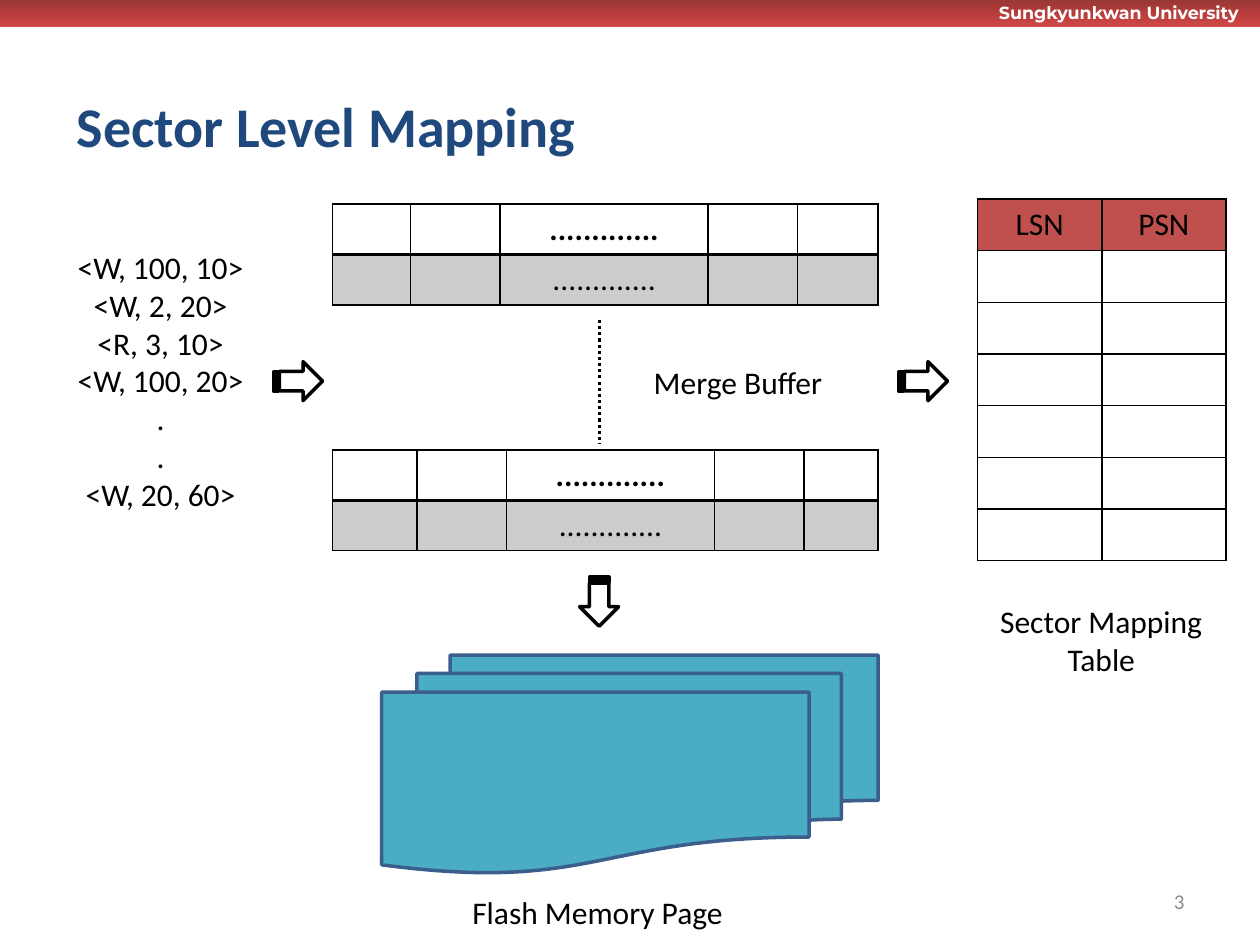
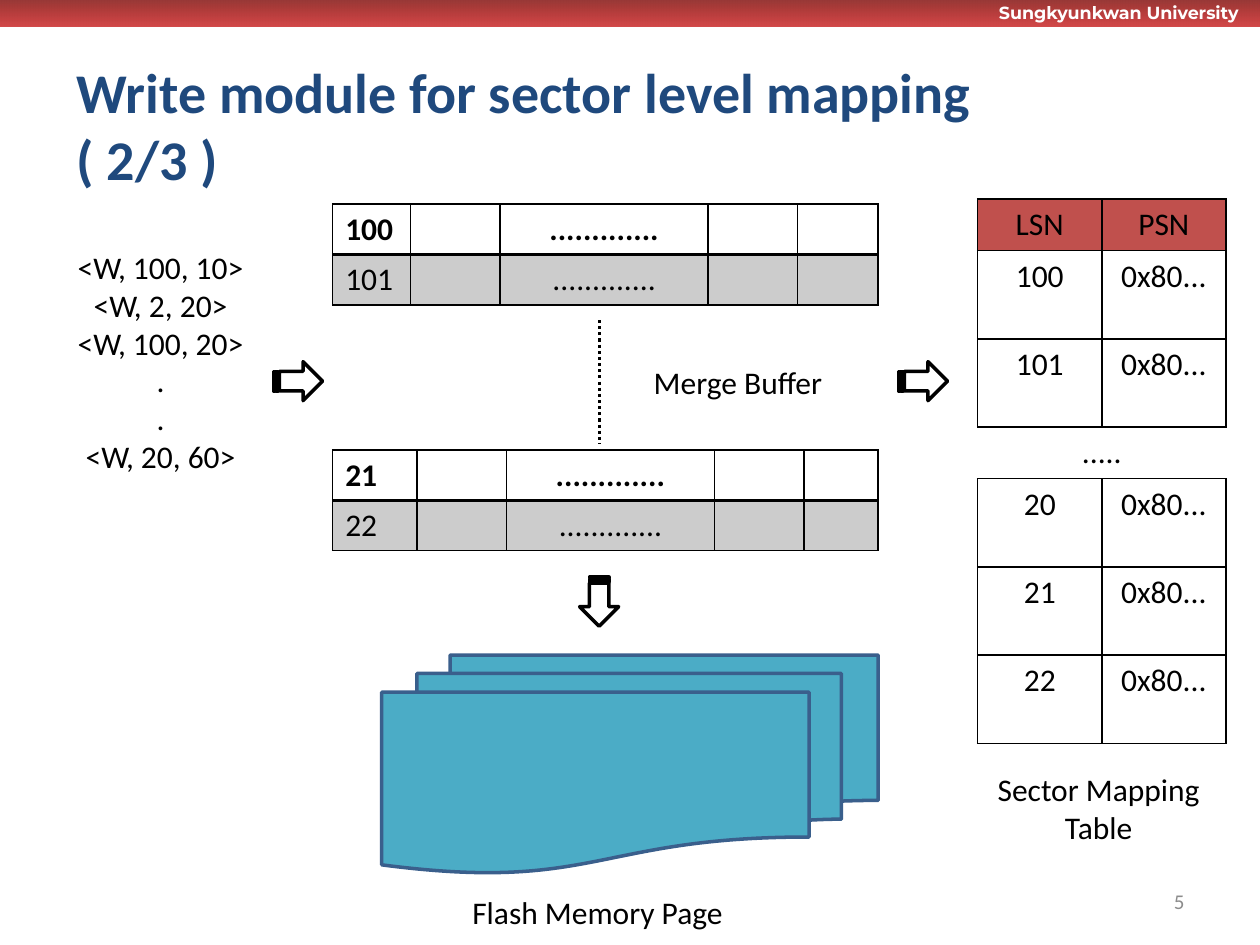
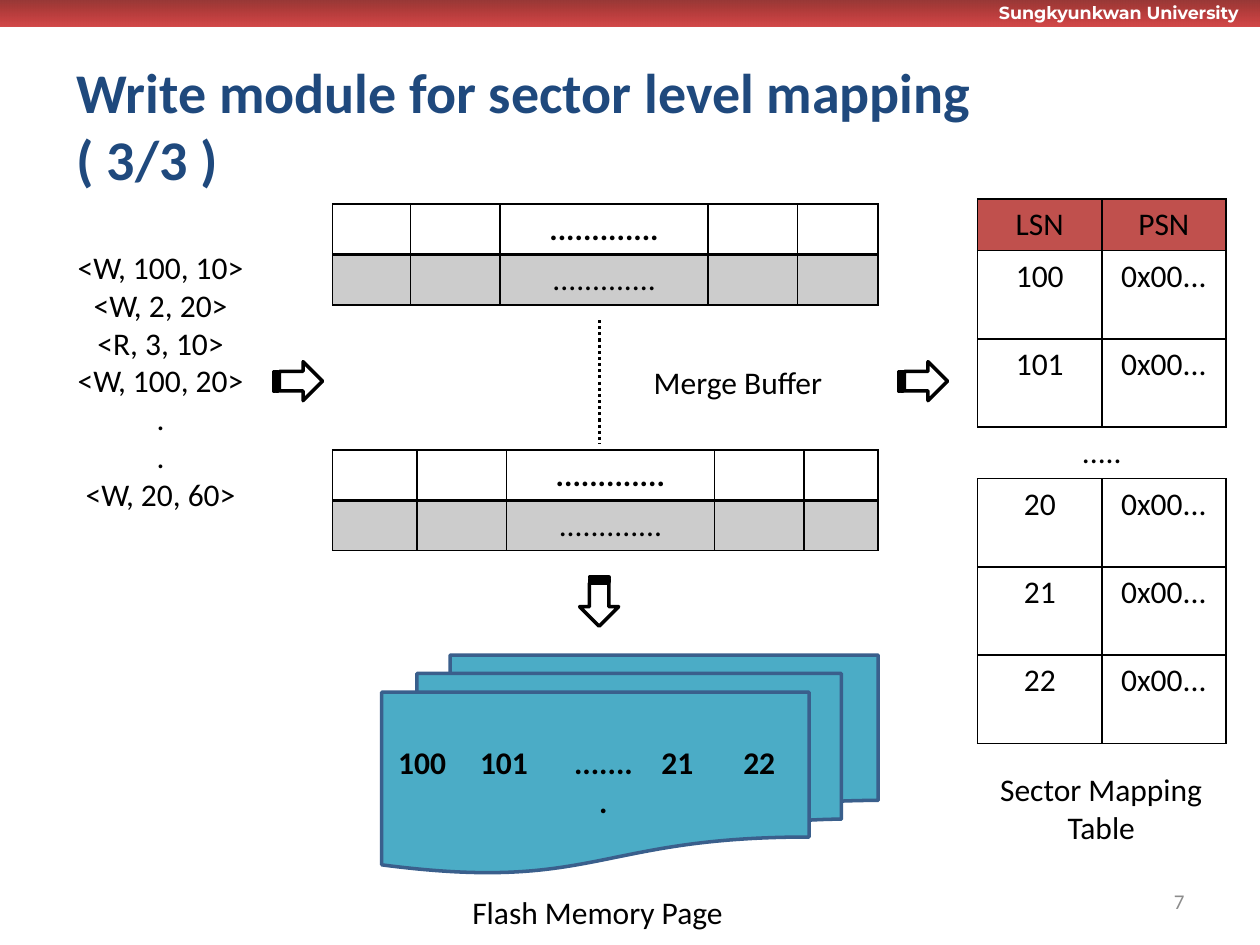
from collections import namedtuple
from dataclasses import dataclass

from lxml.etree import SubElement
from pptx import Presentation
from pptx.dml.color import RGBColor
from pptx.enum.dml import MSO_LINE
from pptx.enum.shapes import MSO_CONNECTOR, MSO_SHAPE
from pptx.enum.text import MSO_ANCHOR, MSO_AUTO_SIZE, PP_ALIGN
from pptx.oxml.ns import qn
from pptx.util import Inches, Pt

# All lengths count cells of a grid of 100 columns by 75 rows
Box = namedtuple("Box", "x y w h")
PLAIN = "{2D5ABB26-0587-4C30-8999-92F81FD0307C}"  # table style without grid
LEFT, MID, RIGHT = PP_ALIGN.LEFT, PP_ALIGN.CENTER, PP_ALIGN.RIGHT


@dataclass(frozen=True)
class Theme:
    ink: str = "000000"
    paper: str = "FFFFFF"
    navy: str = "1F497D"
    gray: str = "8C8C8C"
    head: str = "C0504D"
    page: str = "4BACC6"
    edge: str = "3A5F8C"
    top: str = "953735"
    end: str = "C00000"
    face: str = "Calibri"
    brand: str = "Montserrat"
    big: int = 32
    body: int = 18
    note: int = 12
    small: int = 10
    thin: float = 1
    dash: float = 1.75
    bold: float = 2


T = Theme()


# ---- helpers ----
def cells(num):
    return Inches(num / 10)


def place(box):
    return [cells(num) for num in box]


def part(box, x, y, w, h):
    """A box set out from the corner of another one."""
    return Box(box.x + x, box.y + y, w, h)


def rgb(code):
    return RGBColor.from_string(code)


def apply(item, **form):
    for name, value in form.items():
        setattr(item, name, value)


def fade(color, share):
    SubElement(color, qn("a:alpha")).set("val", str(share * 1000))


def write(frame, lines, align=LEFT, color=T.ink, size=T.body,
          face=T.face, bold=False):
    for num, line in enumerate(lines):
        para = frame.add_paragraph() if num else frame.paragraphs[0]
        para.alignment = align
        if line:
            run = para.add_run()
            run.text = line
            apply(run.font, name=face, size=Pt(size), bold=bold)
            run.font.color.rgb = rgb(color)


def label(slide, box, lines, wrap=False, **look):
    frame = slide.shapes.add_textbox(*place(box)).text_frame
    fit = MSO_AUTO_SIZE.NONE if wrap else MSO_AUTO_SIZE.SHAPE_TO_FIT_TEXT
    anchor = MSO_ANCHOR.MIDDLE if wrap else MSO_ANCHOR.TOP
    apply(frame, word_wrap=wrap, auto_size=fit, vertical_anchor=anchor)
    write(frame, lines, **look)


def shape(slide, kind, box, fill, line=None, turn=0):
    item = slide.shapes.add_shape(kind, *place(box))
    apply(item, rotation=turn)
    item.shadow.inherit = False
    item.fill.solid()
    item.fill.fore_color.rgb = rgb(fill)
    if line:
        item.line.color.rgb = rgb(line)
        item.line.width = Pt(T.bold)
    else:
        item.line.fill.background()
    return item


def table(slide, box, cols, rows):
    grid = slide.shapes.add_table(len(rows), len(cols), *place(box)).table
    apply(grid, first_row=False, horz_banding=False)
    grid._tbl.tblPr.find(qn("a:tableStyleId")).text = PLAIN
    for col, wide in zip(grid.columns, cols):
        col.width = cells(wide)
    for row, high in zip(grid.rows, rows):
        row.height = cells(high)
    return grid


def rule(cell, **sides):
    """Draw borders of the given widths on the sides L, R, T and B."""
    for side in "LRTB":
        if side in sides:
            line = SubElement(cell._tc.get_or_add_tcPr(), qn("a:ln" + side))
            line.set("w", str(Pt(sides[side])))
            fill = SubElement(line, qn("a:solidFill"))
            SubElement(fill, qn("a:srgbClr")).set("val", T.ink)


def tint(cell, color, share=100):
    cell.fill.solid()
    cell.fill.fore_color.rgb = rgb(color)
    if share < 100:
        fade(cell._tc.tcPr.find(qn("a:solidFill"))[0], share)


# ---- regions ----
def frame(slide, title, num):
    """Band, title and slide number."""
    band = shape(slide, MSO_SHAPE.RECTANGLE, Box(0, 0, 100, 2.1), T.top)
    band.fill.gradient()
    band.fill.gradient_angle = 270
    for stop, color in zip(band.fill.gradient_stops, (T.top, T.end)):
        stop.color.rgb = rgb(color)
    fade(list(band._element.spPr.iter(qn("a:srgbClr")))[-1], 70)
    label(slide, Box(78.3, -0.3, 21.9, 2.7), ["Sungkyunkwan University"],
          color=T.paper, size=T.small, face=T.brand, bold=True)
    label(slide, Box(5.1, 5.2, 84.9, 9.4), [title], wrap=True,
          color=T.navy, size=T.big, bold=True)
    label(slide, Box(71.7, 69.5, 23.3, 4), [str(num)], wrap=True,
          align=RIGHT, color=T.gray, size=T.note)


def block(slide, box, first, marks):
    """One buffer block: a white row over a shaded row."""
    cols = [first, 7.1, 16.5, 7.1]
    cols.append(box.w - sum(cols))
    grid = table(slide, box, cols, [box.h / 2] * 2)
    for row, mark in enumerate(marks):
        line = [mark, "", "." * 13, "", ""]
        for col, text in enumerate(line):
            cell = grid.cell(row, col)
            rule(cell, L=T.thin, R=T.thin, T=T.bold if row else T.thin,
                 B=T.thin if row else T.bold)
            if row:
                tint(cell, T.ink, 20)
            write(cell.text_frame, [text], align=MID if col == 2 else LEFT,
                  bold=not row)


def buffer(slide, box, marks):
    """Two blocks joined by a dotted line."""
    block(slide, part(box, 0, 0, box.w, 8), 6.2, marks[:2])
    block(slide, part(box, 0, 19.5, box.w, 8), 6.7, marks[2:])
    x = cells(box.x + 21.2)
    line = slide.shapes.add_connector(MSO_CONNECTOR.STRAIGHT, x,
                                      cells(box.y + 9.2), x,
                                      cells(box.y + 19))
    apply(line.line, width=Pt(T.dash), dash_style=MSO_LINE.ROUND_DOT)
    line.line.color.rgb = rgb(T.ink)
    SubElement(line._element.spPr, qn("a:effectLst"))
    label(slide, part(box, 24.5, 12.1, 15.6, 4), ["Merge Buffer"])


def sectors(slide, box, rows, tall, cap):
    """Sector table; a row of one entry spans both columns."""
    lines = [("LSN", "PSN"), *rows]
    highs = [4.1 if row == 0 or len(line) == 1 else tall
             for row, line in enumerate(lines)]
    grid = table(slide, box._replace(h=sum(highs)), [box.w / 2] * 2, highs)
    for row, line in enumerate(lines):
        wide = len(line) == 1
        if wide:
            grid.cell(row, 0).merge(grid.cell(row, 1))
        sides = dict.fromkeys("TB" if wide else "LRTB", T.thin)
        for col in range(2):
            rule(grid.cell(row, col), **sides)
        for col, text in enumerate(line):
            cell = grid.cell(row, col)
            if row == 0:
                tint(cell, T.head)
            write(cell.text_frame, [text], align=MID)
    label(slide, part(box, *cap, 18.2, 7.1), ["Sector Mapping", "Table"],
          align=MID)


def pages(slide, box, marks):
    """Stack of flash pages, with the numbers written on the front one."""
    shape(slide, MSO_SHAPE.FLOWCHART_MULTIDOCUMENT, box, T.page, T.edge)
    if marks:
        grid = table(slide, part(box, 0.3, 6.6, 33.1, 10),
                     [6.5, 7.2, 7.2, 6.5, 5.8], [10])
        for col, mark in enumerate(marks):
            write(grid.cell(0, col).text_frame, [mark], bold=True,
                  align=MID if col == 2 else LEFT)
    label(slide, part(box, 6.2, 18.4, 22.1, 4), ["Flash Memory Page"])


def arrows(slide):
    for x, y, turn in ((21.7, 28.7, 0), (71.3, 28.7, 0), (45.6, 46.2, 90)):
        shape(slide, MSO_SHAPE.STRIPED_RIGHT_ARROW, Box(x, y, 3.9, 3.1),
              T.paper, T.ink, turn)


def mapping(slide, title, num, calls, marks, rows, tall, cap, front=()):
    """One slide of the mapping flow."""
    frame(slide, title, num)
    label(slide, Box(5.1, 19.2, 15.3, 3 * len(calls) + 1), calls, align=MID)
    buffer(slide, Box(26.4, 16.2, 43.3, 27.5), marks)
    sectors(slide, Box(77.6, 15.8, 19.7, 0), rows, tall, cap)
    pages(slide, Box(30.3, 52, 39.4, 17.3), front)
    arrows(slide)


# ---- content ----
CALLS = ["<W, 100, 10>", "<W, 2, 20>", "<R, 3, 10>", "<W, 100, 20>",
         ".", ".", "<W, 20, 60>"]
TITLE = "Write module for sector level mapping ( {}/3 )"


def entries(place):
    return [(text, place) if text[0] != "." else (text,)
            for text in ("100", "101", ".....", "20", "21", "22")]


SLIDES = [
    dict(title="Sector Level Mapping", num=3, calls=CALLS, marks=[""] * 4,
         rows=[("", "")] * 6, tall=4.1, cap=(0.7, 31.5)),
    dict(title=TITLE.format(2), num=5,
         calls=[call for call in CALLS if "R" not in call],
         marks=["100", "101", "21", "22"],
         rows=entries("0x80..."), tall=7, cap=(0.5, 44.8)),
    dict(title=TITLE.format(3), num=7, calls=CALLS, marks=[""] * 4,
         rows=entries("0x00..."), tall=7, cap=(0.7, 44.8),
         front=["100", "101", "." * 8, "21", "22"]),
]


def main():
    deck = Presentation()
    apply(deck, slide_width=cells(100), slide_height=cells(75))
    for data in SLIDES:
        mapping(deck.slides.add_slide(deck.slide_layouts[6]), **data)
    deck.save("out.pptx")


if __name__ == "__main__":
    main()
